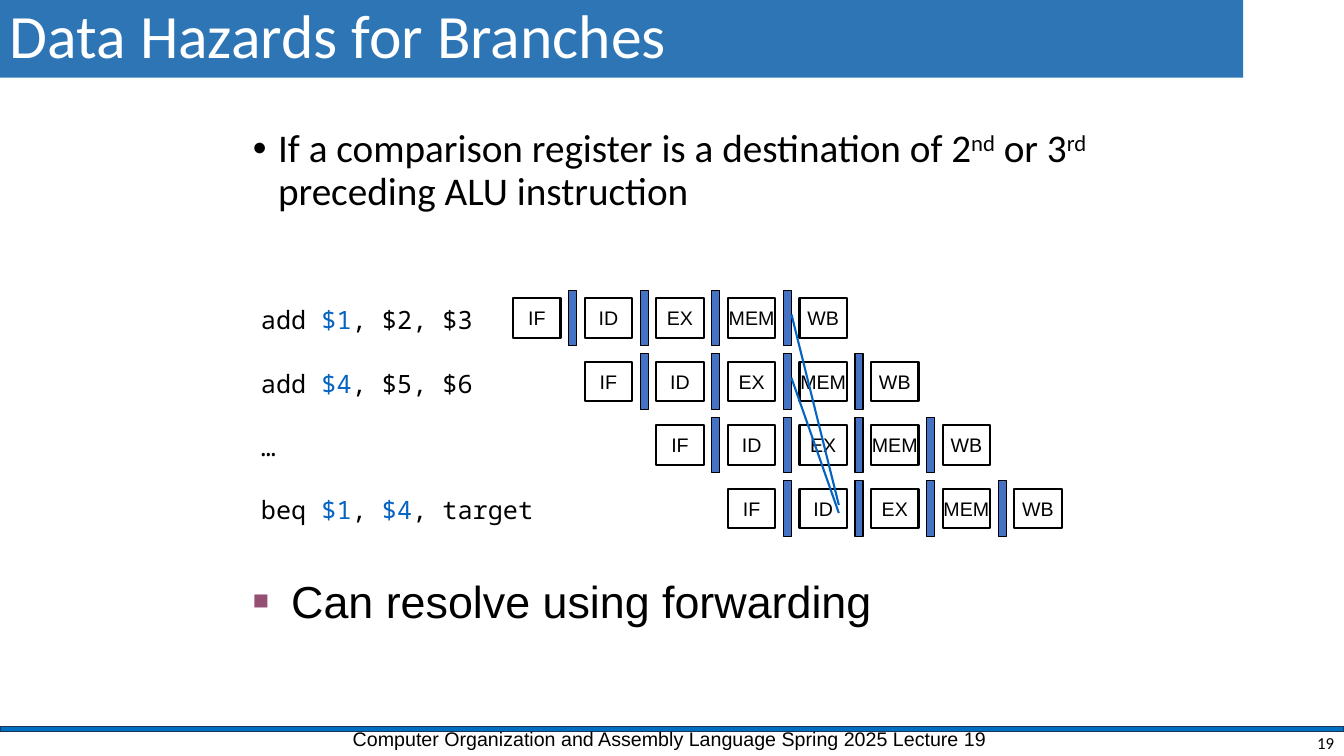
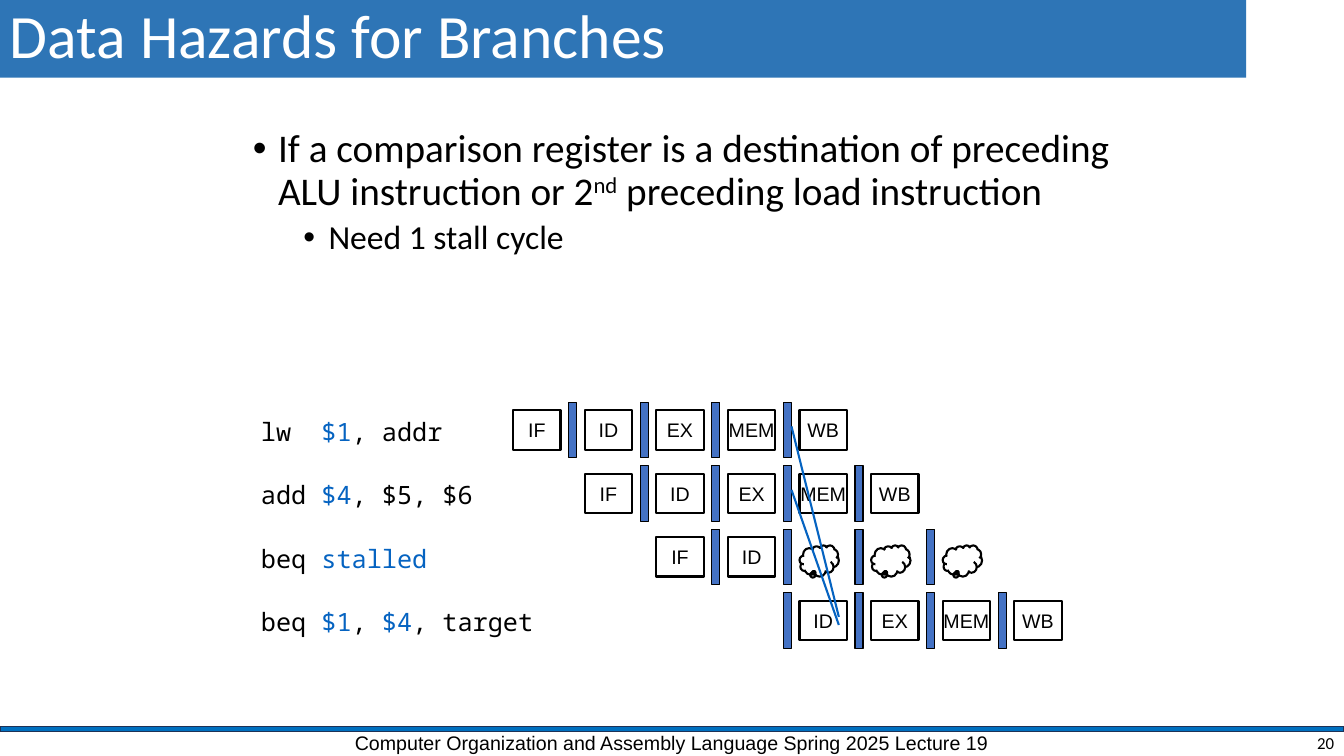
from dataclasses import dataclass

from lxml.etree import SubElement
from pptx import Presentation
from pptx.dml.color import RGBColor
from pptx.enum.shapes import MSO_CONNECTOR, MSO_SHAPE
from pptx.enum.text import MSO_ANCHOR, PP_ALIGN
from pptx.oxml.ns import qn
from pptx.util import Inches, Pt


@dataclass(frozen=True)
class Theme:
    black: str = "000000"
    white: str = "FFFFFF"
    title_fill: str = "2E75B6"
    band_fill: str = "0070C0"
    band_line: str = "1E3256"
    latch: str = "4472C4"
    accent: str = "0563C1"
    marker: str = "954F72"
    body_font: str = "Calibri"
    plain_font: str = "Arial"
    code_font: str = "Noto Sans Mono"
    title_size: int = 44
    note_size: int = 32
    body_size: int = 28
    sub_size: int = 24
    code_size: int = 18
    stage_size: int = 14
    footer_size: int = 14
    number_size: int = 12


T = Theme()

TITLE = "Data Hazards for Branches"
FOOTER = "Computer Organization and Assembly Language Spring 2025 Lecture 19"
STAGES = ["IF", "ID", "EX", "MEM", "WB"]
BUBBLE = "bubble"


def sup(text):
    return text, {"superscript": True}


def reg(text):
    return text, {"color": T.accent}


ADD_4 = ["add ", reg("$4"), ", $5, $6"]
BEQ = ["beq ", reg("$1"), ", ", reg("$4"), ", target"]

# Each pipeline row: code runs, then the stages (None leaves a slot empty).
SLIDES = [
    {
        "number": 19,
        "title_width": 12.33,
        "footer_at": (3.4, 7.16),
        "body": ["If a comparison register is a destination of 2", sup("nd"),
                 " or 3", sup("rd"), " preceding ALU instruction"],
        "pipeline_top": 2.96,
        "pipeline": [
            (["add ", reg("$1"), ", $2, $3"], STAGES),
            (ADD_4, STAGES),
            (["…"], STAGES),
            (BEQ, STAGES),
        ],
        "note": "Can resolve using forwarding",
    },
    {
        "number": 20,
        "title_width": 12.36,
        "footer_at": (3.42, 7.2),
        "body": ["If a comparison register is a destination of preceding "
                 "ALU instruction or 2", sup("nd"),
                 " preceding load instruction"],
        "sub": "Need 1 stall cycle",
        "pipeline_top": 4.07,
        "pipeline": [
            (["lw  ", reg("$1"), ", addr"], STAGES),
            (ADD_4, STAGES),
            (["beq ", reg("stalled")], ["IF", "ID"] + [BUBBLE] * 3),
            (BEQ, [None] + STAGES[1:]),
        ],
    },
]

CODE_LEFT, STAGE_LEFT = 2.49, 5.09
COLUMN_STEP, ROW_STEP = 0.71, 0.63
STAGE_W, STAGE_H = 0.47, 0.39
LATCH_W, LATCH_H = 0.08, 0.55
LATCH_DX, LATCH_DY = -0.16, -0.08
BUBBLE_W, BUBBLE_H, BUBBLE_DY = 0.39, 0.31, 0.08
FORWARD_LEFT, FORWARD_RIGHT = 7.85, 8.32
FORWARDS = [(0.16, 2.05), (0.79, 2.13)]  # start and end below pipeline top


def add_bullet(p, char, indent, hang, color=None, percent=None):
    pPr = p._p.get_or_add_pPr()
    pPr.set("marL", str(Inches(indent)))
    pPr.set("indent", str(-Inches(hang)))
    if color:
        SubElement(SubElement(pPr, qn("a:buClr")), qn("a:srgbClr"), val=color)
    if percent:
        SubElement(pPr, qn("a:buSzPct"), val=str(percent * 1000))
    SubElement(pPr, qn("a:buFont"), typeface=T.plain_font)
    SubElement(pPr, qn("a:buChar"), char=char)


def write(tf, runs, *, size, font=T.body_font, color=T.black, align=None,
          spacing=None, before=None, bullet=None, new=False):
    """Write runs (strings, or pairs of text and format) as one paragraph."""
    p = tf.add_paragraph() if new else tf.paragraphs[0]
    if bullet:
        add_bullet(p, **bullet)
    if align is not None:
        p.alignment = align
    if spacing:
        p.line_spacing = spacing
    if before:
        p.space_before = Pt(before)
    for run in runs:
        text, look = (run, {}) if isinstance(run, str) else run
        r = p.add_run()
        r.text = text
        r.font.size, r.font.name = Pt(size), font
        r.font.color.rgb = RGBColor.from_string(look.get("color", color))
        if look.get("superscript"):
            r._r.get_or_add_rPr().set("baseline", "30000")


def add_box(s, kind, x, y, w, h, *, fill=None, line=None, width=1):
    sp = s.shapes.add_shape(kind, Inches(x), Inches(y), Inches(w), Inches(h))
    sp.shadow.inherit = False
    if fill:
        sp.fill.solid()
        sp.fill.fore_color.rgb = RGBColor.from_string(fill)
    else:
        sp.fill.background()
    if line:
        sp.line.color.rgb = RGBColor.from_string(line)
        sp.line.width = Pt(width)
    else:
        sp.line.fill.background()
    return sp


def add_text(s, x, y, w, h, runs, *, wrap=True, anchor=MSO_ANCHOR.TOP, **look):
    box = s.shapes.add_textbox(Inches(x), Inches(y), Inches(w), Inches(h))
    tf = box.text_frame
    tf.word_wrap, tf.vertical_anchor = wrap, anchor
    write(tf, runs, **look)
    return tf


def add_frame(s, content):
    """Draw the title, bottom band, footer and slide number."""
    add_box(s, MSO_SHAPE.RECTANGLE, 0, 7.21, 13.33, 0.05,
            fill=T.band_fill, line=T.band_line)
    add_text(s, *content["footer_at"], 6.69, 0.31, [FOOTER],
             size=T.footer_size, font=T.plain_font)
    title = add_box(s, MSO_SHAPE.RECTANGLE, 0, 0, content["title_width"], 0.77,
                    fill=T.title_fill)
    title.text_frame.vertical_anchor = MSO_ANCHOR.MIDDLE
    write(title.text_frame, [TITLE], size=T.title_size, color=T.white,
          align=PP_ALIGN.LEFT, spacing=0.9)
    add_text(s, 10.33, 7.24, 3, 0.25, [str(content["number"])],
             size=T.number_size, align=PP_ALIGN.RIGHT, anchor=MSO_ANCHOR.MIDDLE)


def add_body(s, content):
    tf = add_text(s, 2.41, 1.23, 9.05, 1.34, content["body"],
                  size=T.body_size, spacing=0.9,
                  bullet=dict(char="•", indent=0.25, hang=0.25))
    if "sub" in content:
        write(tf, [content["sub"]], size=T.sub_size, spacing=0.9, before=5,
              bullet=dict(char="•", indent=0.75, hang=0.25), new=True)
    if "note" in content:
        add_text(s, 2.41, 5.64, 8.5, 0.71, [content["note"]],
                 size=T.note_size, font=T.plain_font,
                 bullet=dict(char="■", indent=0.38, hang=0.38,
                             color=T.marker, percent=60))


def add_stage(s, x, y, name):
    if name == BUBBLE:
        cloud = add_box(s, MSO_SHAPE.CLOUD_CALLOUT, x, y + BUBBLE_DY,
                        BUBBLE_W, BUBBLE_H, line=T.black, width=1.5)
        cloud.adjustments[0], cloud.adjustments[1] = -0.13, 0.36
        return
    sp = add_box(s, MSO_SHAPE.RECTANGLE, x, y, STAGE_W, STAGE_H,
                 line=T.black, width=1.5)
    tf = sp.text_frame
    tf.word_wrap, tf.vertical_anchor = False, MSO_ANCHOR.MIDDLE
    tf.margin_left = tf.margin_right = 0
    write(tf, [name], size=T.stage_size, font=T.plain_font,
          align=PP_ALIGN.CENTER)


def add_pipeline(s, top, rows):
    """Draw one instruction per row, each a column later than the last."""
    for i, (code, stages) in enumerate(rows):
        y = top + i * ROW_STEP
        add_text(s, CODE_LEFT, y + 0.01, 2.92, 0.4, code, wrap=False,
                 size=T.code_size, font=T.code_font, align=PP_ALIGN.LEFT)
        for j, name in enumerate(stages):
            x = STAGE_LEFT + (i + j) * COLUMN_STEP
            if name:
                add_stage(s, x, y, name)
            if j:
                add_box(s, MSO_SHAPE.RECTANGLE, x + LATCH_DX, y + LATCH_DY,
                        LATCH_W, LATCH_H, fill=T.latch, line=T.black,
                        width=0.75)
    for start, end in FORWARDS:
        line = s.shapes.add_connector(
            MSO_CONNECTOR.STRAIGHT, Inches(FORWARD_LEFT), Inches(top + start),
            Inches(FORWARD_RIGHT), Inches(top + end))
        line.line.color.rgb = RGBColor.from_string(T.accent)
        line.line.width = Pt(1.5)
        SubElement(line._element.spPr, qn("a:effectLst"))


def main():
    prs = Presentation()
    prs.slide_width, prs.slide_height = Inches(13.33), Inches(7.5)
    for content in SLIDES:
        s = prs.slides.add_slide(prs.slide_layouts[6])
        add_frame(s, content)
        add_body(s, content)
        add_pipeline(s, content["pipeline_top"], content["pipeline"])
    prs.save("out.pptx")


if __name__ == "__main__":
    main()
